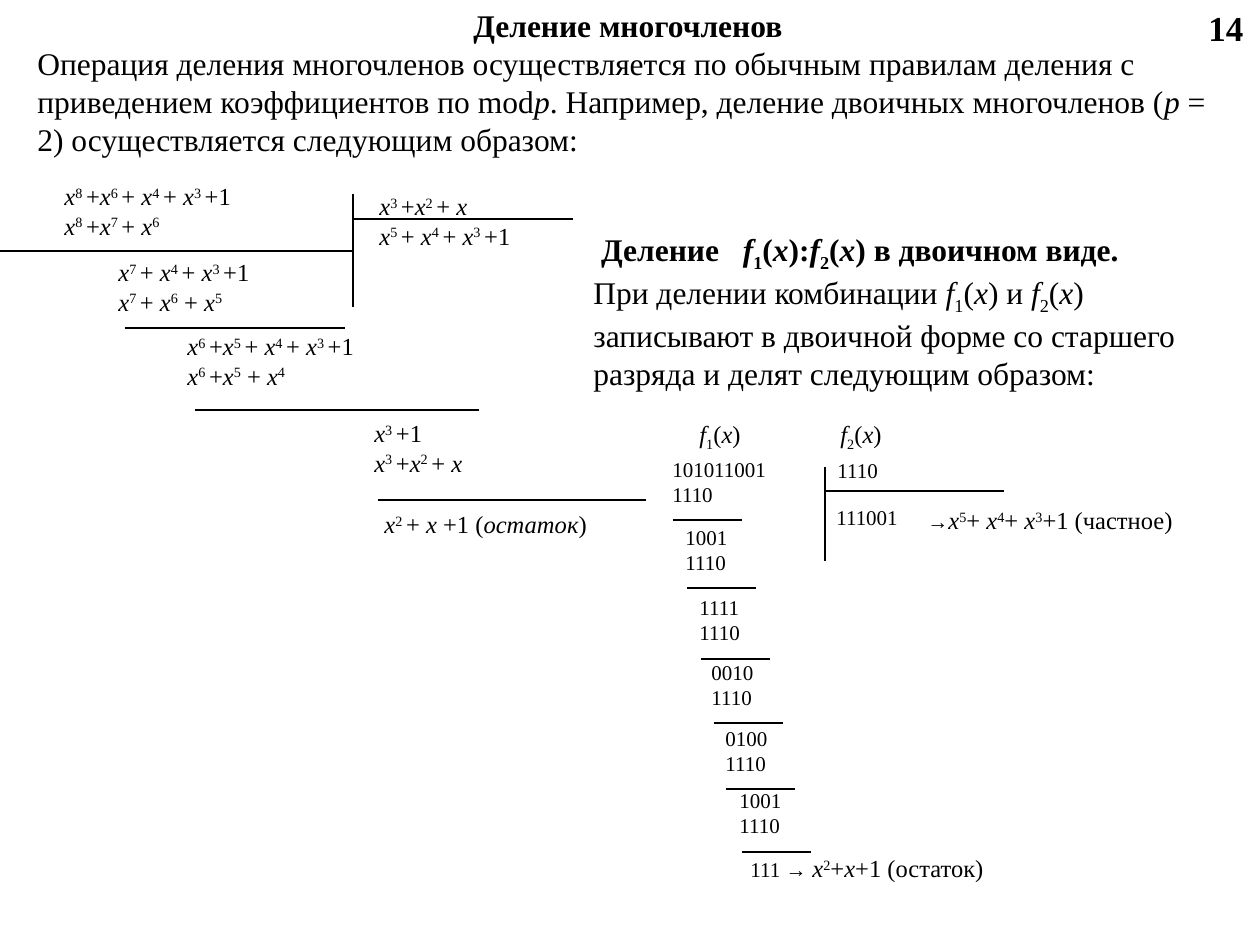
from dataclasses import dataclass

from lxml import etree
from pptx import Presentation
from pptx.dml.color import RGBColor
from pptx.enum.shapes import MSO_CONNECTOR, MSO_SHAPE
from pptx.enum.text import MSO_ANCHOR, PP_ALIGN
from pptx.oxml.ns import qn
from pptx.util import Emu, Pt

STRAIGHT = MSO_CONNECTOR.STRAIGHT
RECTANGLE = MSO_SHAPE.RECTANGLE
TOP = MSO_ANCHOR.TOP
LEFT, CENTER = PP_ALIGN.LEFT, PP_ALIGN.CENTER


@dataclass(frozen=True)
class Theme:
    ink: RGBColor = RGBColor(0, 0, 0)
    paper: RGBColor = RGBColor(255, 255, 255)
    font: str = "Times New Roman"
    arrow_font: str = "Arial"
    number: int = 20
    body: int = 18
    formula: int = 14
    digits: int = 12
    rule: float = 0.75


THEME = Theme()
PX = 914400 / 126

prs = Presentation()
prs.slide_width = Emu(round(1260 * PX))
prs.slide_height = Emu(round(945 * PX))
slide = prs.slides.add_slide(prs.slide_layouts[6])


# Markup toggles: * italic, ^ superscript, _ subscript, @ digit size, $ arrow font; a leading # is bold.
def add_text(box, lines, size, filled=False, first_align=LEFT):
    area = [Emu(round(v * PX)) for v in box]
    if filled:
        shape = slide.shapes.add_shape(RECTANGLE, *area)
        shape.shadow.inherit = False
        shape.fill.solid()
        shape.fill.fore_color.rgb = THEME.paper
        shape.line.fill.background()
    else:
        shape = slide.shapes.add_textbox(*area)
    frame = shape.text_frame
    frame.word_wrap = True
    frame.vertical_anchor = TOP
    for index, line in enumerate(lines):
        paragraph = frame.paragraphs[0] if index == 0 else frame.add_paragraph()
        paragraph.alignment = first_align if index == 0 else LEFT
        paragraph.font.name = THEME.font
        paragraph.font.size = Pt(size)
        paragraph.font.color.rgb = THEME.ink
        paragraph.font.bold = line.startswith("#")
        active, piece = set(), ""
        for mark in line.removeprefix("#") + "\n":
            if mark not in "*^_@$\n":
                piece += mark
                continue
            if piece:
                run = paragraph.add_run()
                run.text = piece
                if "*" in active:
                    run.font.italic = True
                if "@" in active:
                    run.font.size = Pt(THEME.digits)
                if "$" in active:
                    run.font.name = THEME.arrow_font
                if active & {"^", "_"}:
                    baseline = "30000" if "^" in active else "-25000"
                    run.font._element.set("baseline", baseline)
                piece = ""
            active ^= {mark}


def add_rule(x1, y1, x2, y2):
    ends = [Emu(round(v * PX)) for v in (x1, y1, x2, y2)]
    rule = slide.shapes.add_connector(STRAIGHT, *ends)
    rule.line.color.rgb = THEME.ink
    rule.line.width = Pt(THEME.rule)
    etree.SubElement(rule._element.spPr, qn("a:effectLst"))


add_text((1196, 0, 64, 55), ["#14"], THEME.number)
add_text((25, 0, 1206, 164), [
    "#Деление многочленов",
    "Операция деления многочленов осуществляется по обычным правилам деления с приведением "
    "коэффициентов по mod*р*. Например, деление двоичных многочленов (*р* = 2) "
    "осуществляется следующим образом:",
], THEME.body, first_align=CENTER)

polynomial_steps = [
    ((372, 503, 348, 63), ["*x*^2 ^+ *x* +1 (*остаток*)"], False),
    ((52, 175, 331, 95), ["*x*^8 ^+*x*^6 ^+ *x*^4 ^+ *x*^3 ^+1", "*x*^8 ^+*x*^7 ^+ *x*^6^"], True),
    ((367, 185, 300, 95), ["*x*^3 ^+*x*^2 ^+ *x*", "*x*^5 ^+ *x*^4 ^+ *x*^3 ^+1"], False),
    ((106, 251, 251, 95), ["*x*^7 ^+ *x*^4 ^+ *x*^3 ^+1", "*x*^7 ^+ *x*^6^ + *x*^5^"], True),
    ((175, 325, 331, 95), ["*x*^6 ^+*x*^5 ^+ *x*^4 ^+ *x*^3 ^+1", "*x*^6 ^+*x*^5^ +* x*^4^"], True),
    ((362, 412, 253, 95), ["*x*^3 ^+1", "*x*^3 ^+*x*^2 ^+ *x*"], False),
]
for box, lines, filled in polynomial_steps:
    add_text(box, lines, THEME.formula, filled)

polynomial_rules = [
    (-11, 251, 353, 251), (353, 194, 353, 307), (353, 219, 573, 219),
    (125, 328, 345, 328), (195, 410, 479, 410), (378, 500, 646, 500),
]
for ends in polynomial_rules:
    add_rule(*ends)

add_text((581, 224, 630, 174), [
    "# Деление   *f*_1_(*x*):*f*_2_(*x*) в двоичном виде.",
    "При делении комбинации *f*_1_(*x*) и *f*_2_(*x*) записывают в двоичной форме "
    "со старшего разряда и делят следующим образом:",
], THEME.body)

binary_steps = [
    (660, 450, 165, "101011001"), (673, 518, 97, "1001"), (687, 588, 97, "1111"),
    (699, 653, 97, "0010"), (713, 719, 97, "0100"), (727, 781, 97, "1001"),
]
for x, y, width, dividend in binary_steps:
    add_text((x, y, width, 73), [dividend, "1110"], THEME.digits, True)
add_text((738, 847, 331, 55), ["@111 $→ $@*x*^2^+*x*+1 (остаток)"], THEME.formula, True)

for x, y in [(673, 520), (687, 588), (701, 659), (714, 723), (726, 789), (742, 852)]:
    add_rule(x, y, x + 69, y)
add_rule(825, 467, 825, 561)
add_rule(825, 491, 1004, 491)

add_text((825, 451, 97, 55), ["1110"], THEME.digits)
add_text((824, 498, 125, 55), ["111001"], THEME.digits)
add_text((828, 413, 111, 55), ["*f*_2_(*x*)"], THEME.formula)
add_text((687, 413, 125, 55), ["*f*_1_(*x*)"], THEME.formula)
add_text((915, 499, 345, 55), ["@$→$@*x*^5^+* x*^4^+* x*^3^+1 (частное)"], THEME.formula)

prs.save("out.pptx")
